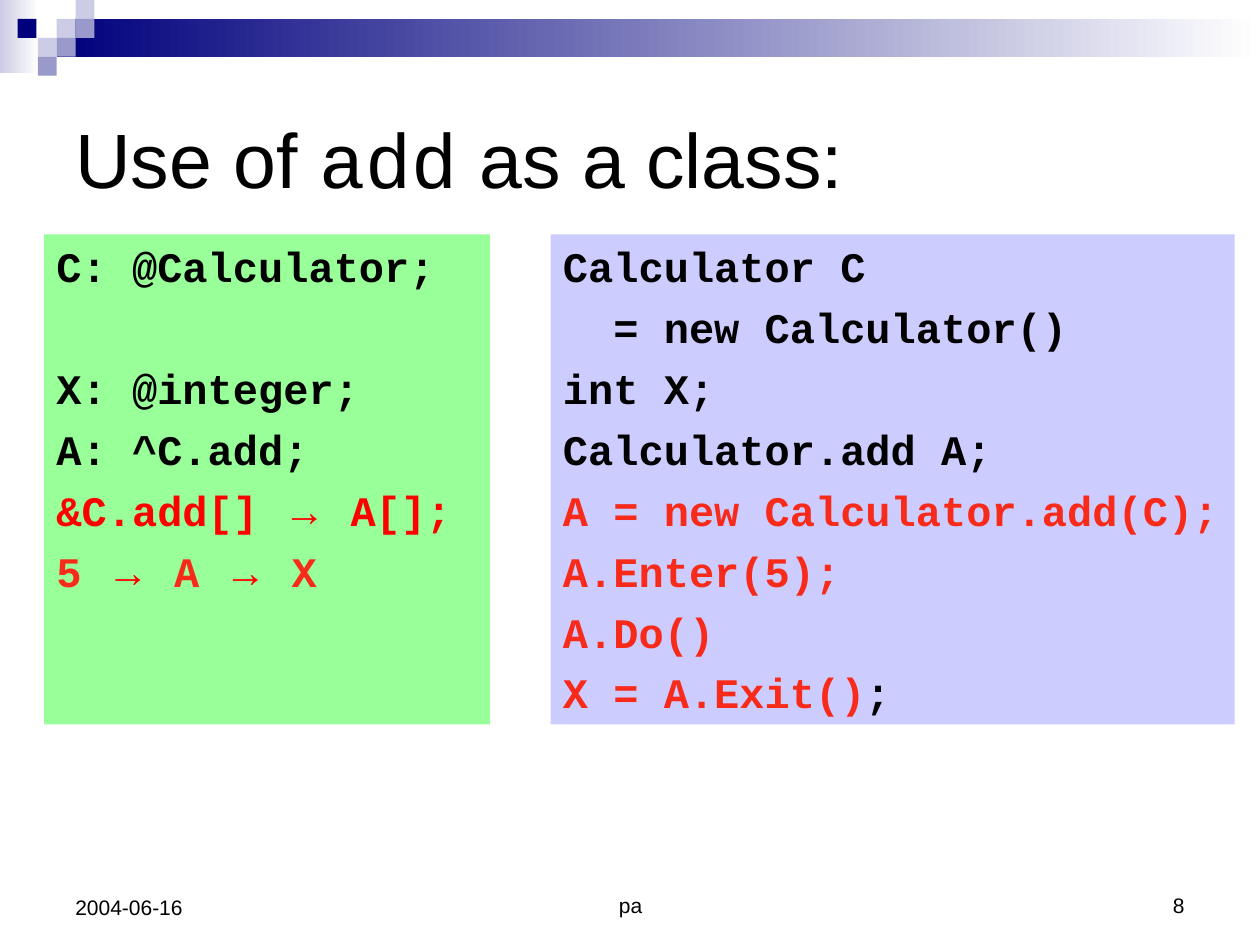
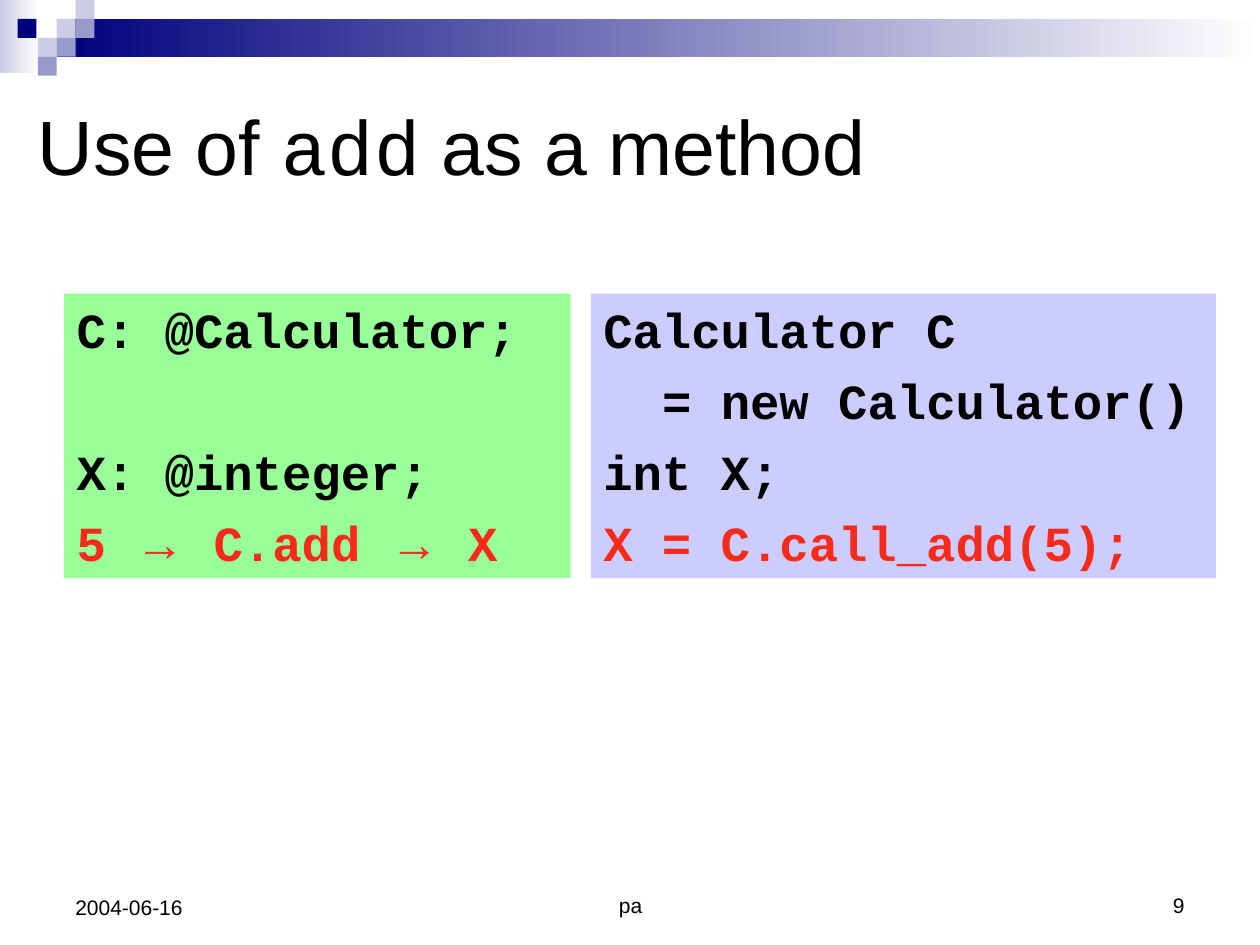
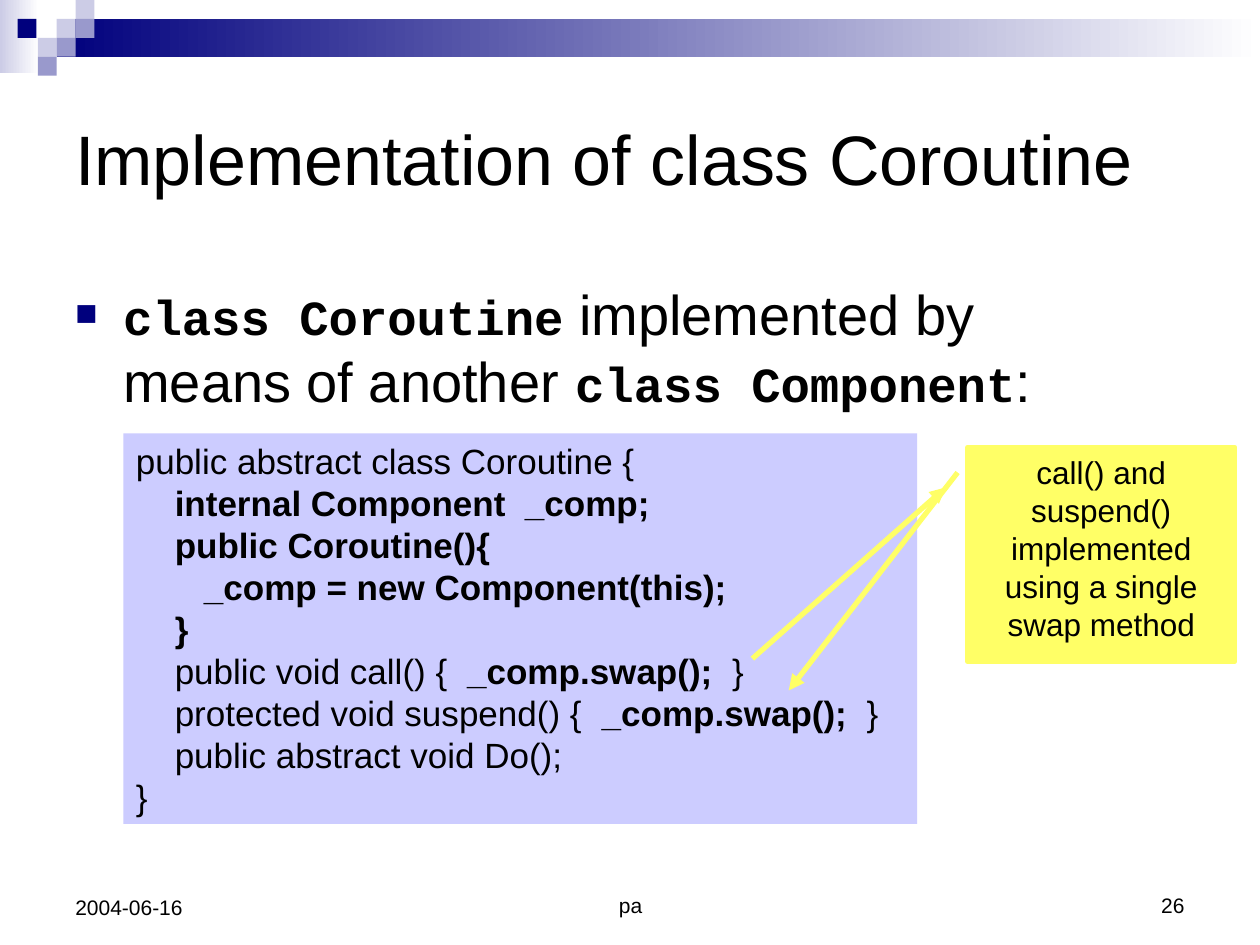
import pptx
import pptx.util
import pptx.dml.color
import pptx.enum.shapes
import pptx.enum.text
import pptx.oxml.ns
import lxml.etree

WIDTH, HEIGHT = 10, 7.5
COLORS = {
    "black": "000000", "white": "FFFFFF", "navy": "00007D",
    "lavender": "CCCCE6", "periwinkle": "9999CC",
    "green": "99FF99", "blue": "CCCCFF", "yellow": "FFFF66",
    "red": "FF0000", "scarlet": "F82A1A",
}
SANS, MONO = "Arial", "Courier New"
SPACE_WIDTH = {SANS: 0.278, MONO: 0.6}
SHAPES = pptx.enum.shapes.MSO_SHAPE
ALIGN = pptx.enum.text.PP_ALIGN
ANCHOR = pptx.enum.text.MSO_ANCHOR

STYLES = {
    "plain": {"font": SANS},
    "strong": {"font": SANS, "bold": True},
    "mono": {"font": MONO},
    "code": {"font": MONO, "bold": True},
    "red": {"font": MONO, "bold": True, "color": "red"},
    "scarlet": {"font": MONO, "bold": True, "color": "scarlet"},
    "red arrow": {"font": SANS, "bold": True, "color": "red"},
    "scarlet arrow": {"font": SANS, "bold": True, "color": "scarlet"},
    "keyword": {"font": MONO, "bold": True, "size": 28},
}

TILE = 0.15
TILES = [
    (3, 1, "lavender"), (4, 0, "lavender"), (4, 1, "periwinkle"),
    (2, 2, "lavender"), (0.93, 1, "navy"), (3, 2, "periwinkle"),
    (2, 3, "periwinkle"),
]
BANDS = [((0, 0, 0.31, 0.58), "lavender"), ((0.45, 0.15, 9.55, 0.3), "navy")]
TITLE_BOX = (0.5, 0.5, 9, 1.5)


def line(*spans, indent=0, gap=False):
    return {"spans": spans, "indent": indent, "gap": gap}


PAGES = [
    {
        "number": "8",
        "title": [("Use of ", "plain"), ("add", "mono"), (" as a class:", "plain")],
        "panels": [
            {"box": (0.35, 1.86, 3.54, 3.89), "fill": "green", "size": 24, "lines": [
                line(("C: @Calculator;", "code")),
                line(("X: @integer;", "code"), gap=True),
                line(("A: ^C.add;", "code")),
                line(("&C.add[] ", "red"), ("→", "red arrow"), (" A[];", "red")),
                line(("5 ", "scarlet"), ("→", "red arrow"), (" A ", "scarlet"),
                     ("→", "red arrow"), (" X", "scarlet")),
            ]},
            {"box": (4.37, 1.86, 5.43, 3.89), "fill": "blue", "size": 24, "lines": [
                line(("Calculator C", "code")),
                line(("= new Calculator()", "code"), indent=2),
                line(("int X;", "code")),
                line(("Calculator.add A;", "code")),
                line(("A = new Calculator.add(C);", "scarlet")),
                line(("A.Enter(5);", "scarlet")),
                line(("A.Do()", "scarlet")),
                line(("X = A.Exit()", "scarlet"), (";", "code")),
            ]},
        ],
    },
    {
        "number": "9",
        "title": [("Use of ", "plain"), ("add", "mono"), (" as a method", "plain")],
        "title_box": (0.2, 0.91, 9.06, 0.47),
        "panels": [
            {"box": (0.51, 2.33, 4.02, 2.26), "fill": "green", "size": 28, "lines": [
                line(("C: @Calculator;", "code")),
                line(("X: @integer;", "code"), gap=True),
                line(("5 ", "scarlet"), ("→", "scarlet arrow"), (" C.add ", "scarlet"),
                     ("→", "scarlet arrow"), (" X", "scarlet")),
            ]},
            {"box": (4.69, 2.33, 4.96, 2.26), "fill": "blue", "size": 28, "lines": [
                line(("Calculator C", "code")),
                line(("= new Calculator()", "code"), indent=2),
                line(("int X;", "code")),
                line(("X = C.call_add(5);", "scarlet")),
            ]},
        ],
    },
    {
        "number": "26",
        "title": [("Implementation of class Coroutine", "plain")],
        "title_size": 40,
        "bullet": line(("class Coroutine", "keyword"),
                       (" implemented by \nmeans of another ", "plain"),
                       ("class Component", "keyword"), (":", "plain")),
        "panels": [
            {"box": (0.98, 3.44, 6.3, 3.1), "fill": "blue", "size": 20, "spacing": 0, "lines": [
                line(("public abstract class Coroutine {", "plain")),
                line(("internal Component  _comp;", "strong"), indent=4),
                line(("public Coroutine(){", "strong"), indent=4),
                line(("_comp = new Component(this);", "strong"), indent=7),
                line(("}", "strong"), indent=4),
                line(("public void call() {  ", "plain"), ("_comp.swap(); ", "strong"),
                     (" }", "plain"), indent=4),
                line(("protected void suspend() {  ", "plain"), ("_comp.swap();", "strong"),
                     ("  }", "plain"), indent=4),
                line(("public abstract void Do();", "plain"), indent=4),
                line(("}", "plain")),
            ]},
        ],
        "callout": {
            "box": (7.68, 3.55, 2.12, 1.7),
            "pointer": (0.188, -0.083, 0.987, -0.806),
            "text": "call() and suspend() implemented using a single swap method",
            "arrow": (7.6, 3.75, 6.26, 5.48),
        },
    },
]


def inches(values):
    return [pptx.util.Inches(value) for value in values]


def rgb(name):
    return pptx.dml.color.RGBColor.from_string(COLORS[name])


def add_xml(parent, tag, **attributes):
    return lxml.etree.SubElement(parent, pptx.oxml.ns.qn(tag), attributes)


def add_block(page, box, fill, kind=SHAPES.RECTANGLE):
    block = page.shapes.add_shape(kind, *inches(box))
    block.shadow.inherit = False
    block.fill.solid()
    block.fill.fore_color.rgb = rgb(fill)
    block.line.fill.background()
    return block


def add_text_box(page, box, anchor):
    frame = page.shapes.add_textbox(*inches(box)).text_frame
    frame.word_wrap = True
    frame.vertical_anchor = anchor
    return frame


def write_spans(para, spans, size):
    for text, style_name in spans:
        style = STYLES[style_name]
        for index, part in enumerate(text.split("\n")):
            if index:
                para.add_line_break()
            span = para.add_run()
            span.text = part
            span.font.name = style["font"]
            span.font.size = pptx.util.Pt(style.get("size", size))
            span.font.bold = style.get("bold", False)
            span.font.color.rgb = rgb(style.get("color", "black"))


def add_bands(page):
    for box, color in BANDS:
        band = add_block(page, box, color)
        band.fill.gradient()
        band.fill.gradient_angle = 180
        for stop, name, position in zip(band.fill.gradient_stops, ("white", color), (0, 1)):
            stop.color.rgb = rgb(name)
            stop.position = position
    for column, row, color in TILES:
        add_block(page, (column * TILE, row * TILE, TILE, TILE), color)


def add_title(page, content):
    frame = add_text_box(page, content.get("title_box", TITLE_BOX), ANCHOR.MIDDLE)
    write_spans(frame.paragraphs[0], content["title"], content.get("title_size", 44))


def add_footer(page, number):
    for text, box, align in [
        ("pa", (3.42, 6.83, 3.17, 0.5), ALIGN.CENTER),
        (number, (7.17, 6.83, 2.33, 0.5), ALIGN.RIGHT),
        ("2004-06-16", (0.5, 6.83, 2.33, 0.52), ALIGN.LEFT),
    ]:
        para = add_text_box(page, box, ANCHOR.BOTTOM).paragraphs[0]
        para.alignment = align
        write_spans(para, [(text, "plain")], 12)


def add_panel(page, panel):
    frame = add_block(page, panel["box"], panel["fill"]).text_frame
    frame.word_wrap = True
    frame.vertical_anchor = ANCHOR.TOP
    size = panel["size"]
    spacing = panel.get("spacing", size / 4)
    for index, entry in enumerate(panel["lines"]):
        para = frame.add_paragraph() if index else frame.paragraphs[0]
        para.alignment = ALIGN.LEFT
        para.space_before = pptx.util.Pt(size * 1.7 if entry["gap"] else spacing)
        font = STYLES[entry["spans"][0][1]]["font"]
        margin = pptx.util.Pt(entry["indent"] * SPACE_WIDTH[font] * size)
        para._p.get_or_add_pPr().set("marL", str(int(margin)))
        write_spans(para, entry["spans"], size)


def add_bullet(page, entry):
    para = add_text_box(page, (0.5, 2.17, 9, 4.25), ANCHOR.TOP).paragraphs[0]
    para.space_before = pptx.util.Pt(8)
    margin = int(pptx.util.Inches(0.38))
    properties = para._p.get_or_add_pPr()
    properties.set("marL", str(margin))
    properties.set("indent", str(-margin))
    add_xml(add_xml(properties, "a:buClr"), "a:srgbClr", val=COLORS["navy"])
    add_xml(properties, "a:buSzPct", val="75000")
    add_xml(properties, "a:buFont", typeface=SANS)
    add_xml(properties, "a:buChar", char="■")
    write_spans(para, entry["spans"], 32)


def style_arrow(shape, end):
    shape.line.color.rgb = rgb("yellow")
    shape.line.width = pptx.util.Pt(3)
    outline = shape.element.spPr.find(pptx.oxml.ns.qn("a:ln"))
    add_xml(outline, end, type="triangle")


def add_callout(page, callout):
    note = add_block(page, callout["box"], "yellow", SHAPES.LINE_CALLOUT_1)
    for index, value in enumerate(callout["pointer"]):
        note.adjustments[index] = value
    style_arrow(note, "a:headEnd")
    frame = note.text_frame
    frame.word_wrap = True
    frame.vertical_anchor = ANCHOR.TOP
    frame.paragraphs[0].alignment = ALIGN.CENTER
    write_spans(frame.paragraphs[0], [(callout["text"], "plain")], 18)
    arrow = page.shapes.add_connector(
        pptx.enum.shapes.MSO_CONNECTOR.STRAIGHT, *inches(callout["arrow"]))
    style_arrow(arrow, "a:tailEnd")
    add_xml(arrow.element.spPr, "a:effectLst")


def main():
    deck = pptx.Presentation()
    deck.slide_width, deck.slide_height = inches((WIDTH, HEIGHT))
    for content in PAGES:
        page = deck.slides.add_slide(deck.slide_layouts[6])
        add_bands(page)
        add_title(page, content)
        if "bullet" in content:
            add_bullet(page, content["bullet"])
        for panel in content["panels"]:
            add_panel(page, panel)
        if "callout" in content:
            add_callout(page, content["callout"])
        add_footer(page, content["number"])
    deck.save("out.pptx")


if __name__ == "__main__":
    main()
